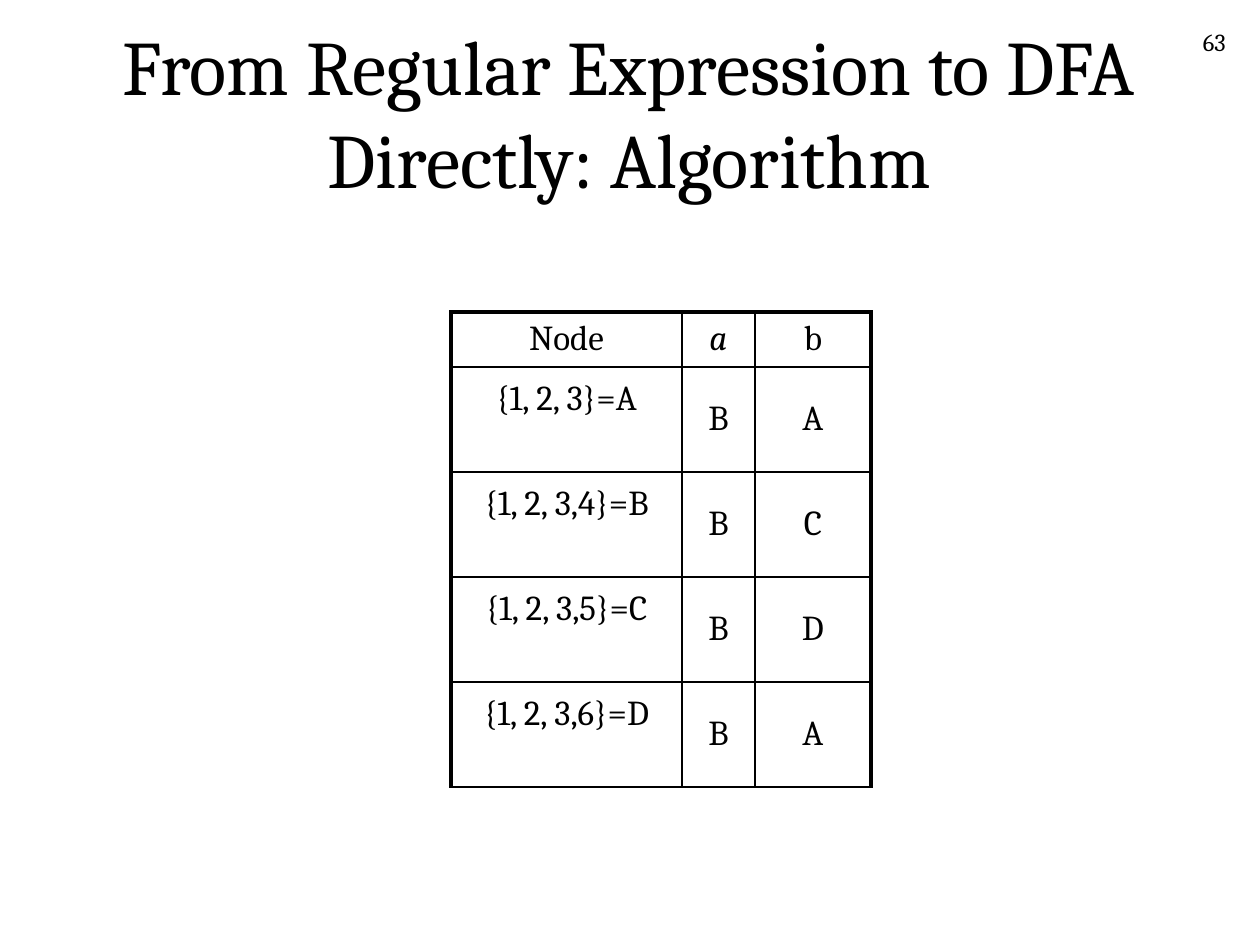
import pptx
import pptx.dml.color
import pptx.enum.text
import pptx.util
from lxml import etree

PX = 914400 / 126
FONT = "Cambria"
BLACK = "000000"
NS = "http://schemas.openxmlformats.org/drawingml/2006/main"
ALIGN = pptx.enum.text.PP_ALIGN
ANCHOR = pptx.enum.text.MSO_ANCHOR
COLUMNS = [231, 73, 116]
HEIGHTS = [55, 105, 105, 105, 105]
TRANSITIONS = [
    ["Node", "a", "b"],
    ["{1, 2, 3}=A", "B", "A"],
    ["{1, 2, 3,4}=B", "B", "C"],
    ["{1, 2, 3,5}=C", "B", "D"],
    ["{1, 2, 3,6}=D", "B", "A"],
]


def px(n):
    """Turn pixels into EMU."""
    return pptx.util.Emu(round(n * PX))


def color(value):
    """Turn a hex string into a colour."""
    return pptx.dml.color.RGBColor.from_string(value)


def add_run(tf, text, size, align, italic=False):
    """Write one run into the first paragraph of a text frame."""
    p = tf.paragraphs[0]
    p.alignment = align
    r = p.add_run()
    r.text = text
    r.font.name = FONT
    r.font.size = pptx.util.Pt(size)
    r.font.italic = italic
    r.font.color.rgb = color(BLACK)


def add_text(s, box, text, size, align, anchor):
    """Add a wrapped text box."""
    tf = s.shapes.add_textbox(*map(px, box)).text_frame
    tf.word_wrap = True
    tf.vertical_anchor = anchor
    add_run(tf, text, size, align)


def set_borders(cell, widths):
    """Draw the left, right, top and bottom borders of a cell."""
    tcPr = cell._tc.get_or_add_tcPr()
    for i, (side, width) in enumerate(zip("LRTB", widths)):
        ln = etree.Element(f"{{{NS}}}ln{side}", w=str(pptx.util.Pt(width)))
        fill = etree.SubElement(ln, f"{{{NS}}}solidFill")
        etree.SubElement(fill, f"{{{NS}}}srgbClr", val=BLACK)
        tcPr.insert(i, ln)


def fill_cell(cell, text, row, col):
    """Set the text, fill and borders of one cell."""
    add_run(cell.text_frame, text, 20, ALIGN.CENTER, text == "a")
    cell.vertical_anchor = ANCHOR.MIDDLE
    if row and not col:
        cell.margin_bottom = px(46)
    cell.fill.background()
    outer = [col == 0, col == len(COLUMNS) - 1, row == 0, False]
    set_borders(cell, [2.25 if edge else 1 for edge in outer])


def add_transition_table(s, left, top):
    """Add the table of DFA states and their moves."""
    size = [left, top, sum(COLUMNS), sum(HEIGHTS)]
    table = s.shapes.add_table(len(HEIGHTS), len(COLUMNS), *map(px, size)).table
    table.first_row = table.horz_banding = False
    for column, width in zip(table.columns, COLUMNS):
        column.width = px(width)
    for row, height in zip(table.rows, HEIGHTS):
        row.height = px(height)
    for i, texts in enumerate(TRANSITIONS):
        for j, text in enumerate(texts):
            fill_cell(table.cell(i, j), text, i, j)


def main():
    """Build the slide and save it."""
    prs = pptx.Presentation()
    prs.slide_width, prs.slide_height = px(1260), px(945)
    s = prs.slides.add_slide(prs.slide_layouts[6])
    add_text(s, [976, 21, 262, 63], "63", 14, ALIGN.RIGHT, ANCHOR.TOP)
    title = "From Regular Expression to DFA Directly: Algorithm"
    add_text(s, [94, 32, 1071, 158], title, 44, ALIGN.CENTER, ANCHOR.MIDDLE)
    add_transition_table(s, 451, 312)
    prs.save("out.pptx")


if __name__ == "__main__":
    main()
